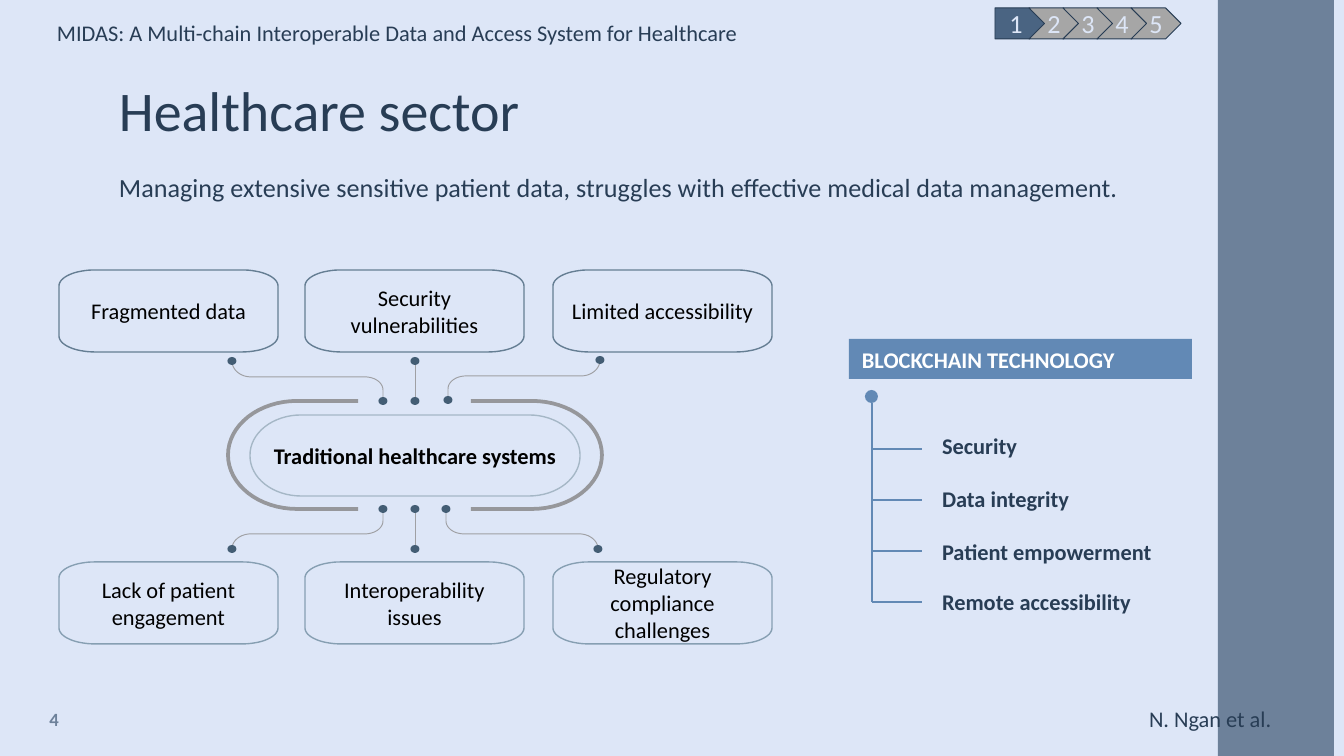
import math
import pptx
import pptx.util
import pptx.dml.color
import pptx.enum.shapes
import pptx.enum.text
import pptx.oxml.ns
import lxml.etree

EMU_PER_PX = 914400 / 134.4
SHAPES = pptx.enum.shapes.MSO_SHAPE
ALIGN = pptx.enum.text.PP_ALIGN
ANCHOR = pptx.enum.text.MSO_ANCHOR

NAVY = "283D55"
PALE = "DDE6F7"
SLATE = "6D819A"
BLUE = "6289B5"
DOT = "435D74"
LINK = "9FA0A4"
BRACKET = "96979B"


def px(value):
    return pptx.util.Emu(round(value * EMU_PER_PX))


def color(code):
    return pptx.dml.color.RGBColor.from_string(code)


def arc(start, corner, end, steps=16):
    center = [start[i] + end[i] - corner[i] for i in (0, 1)]
    points = []
    for step in range(steps + 1):
        angle = math.pi / 2 * step / steps
        points.append(tuple(
            center[i] + math.cos(angle) * (start[i] - center[i])
            + math.sin(angle) * (end[i] - center[i]) for i in (0, 1)))
    return points


class SlideBuilder:
    font = "Calibri"

    def __init__(self, slide):
        self.slide = slide
        self.shapes = slide.shapes

    def background(self, code):
        self.slide.background.fill.solid()
        self.slide.background.fill.fore_color.rgb = color(code)

    def paint(self, shape, fill=None, line=None, weight=0.75):
        shape.shadow.inherit = False
        if fill:
            shape.fill.solid()
            shape.fill.fore_color.rgb = color(fill)
        else:
            shape.fill.background()
        if line:
            shape.line.color.rgb = color(line)
            shape.line.width = pptx.util.Pt(weight)
        else:
            shape.line.fill.background()

    def label(self, shape, text, size, code, bold=False, align=ALIGN.LEFT,
              anchor=ANCHOR.TOP, margins=(13, 7)):
        frame = shape.text_frame
        frame.word_wrap = True
        frame.vertical_anchor = anchor
        frame.margin_left = frame.margin_right = px(margins[0])
        frame.margin_top = frame.margin_bottom = px(margins[1])
        frame.text = text
        para = frame.paragraphs[0]
        para.alignment = align
        font = para.runs[0].font
        font.name = self.font
        font.size = pptx.util.Pt(size)
        font.bold = bold
        font.color.rgb = color(code)

    def text(self, left, top, width, height, text, size=12, code=NAVY, **style):
        box = self.shapes.add_textbox(px(left), px(top), px(width), px(height))
        self.label(box, text, size, code, **style)

    def shape(self, kind, left, top, width, height, fill, line=None, weight=0.5):
        shape = self.shapes.add_shape(kind, px(left), px(top), px(width), px(height))
        self.paint(shape, fill, line, weight)
        return shape

    def outline(self, points, line, weight=0.75, close=False):
        corners = [(px(x), px(y)) for x, y in points]
        builder = self.shapes.build_freeform(*corners[0])
        builder.add_line_segments(corners[1:], close=close)
        shape = builder.convert_to_shape()
        self.paint(shape, None, line, weight)
        return shape

    def pill(self, left, top, width, height, radius, line, text,
             bold=False, margins=(13, 13)):
        right, bottom = left + width, top + height
        across, down = radius
        points = [
            *arc((left, top + down), (left, top), (left + across, top)),
            *arc((right - across, top), (right, top), (right, top + down)),
            *arc((right, bottom - down), (right, bottom), (right - across, bottom)),
            *arc((left + across, bottom), (left, bottom), (left, bottom - down)),
        ]
        shape = self.outline(points, line, close=True)
        self.label(shape, text, 12, "000000", bold=bold, align=ALIGN.CENTER,
                   anchor=ANCHOR.MIDDLE, margins=margins)

    def bracket(self, inner, bend, outer, top, bottom):
        middle = (top + bottom) / 2
        self.outline([
            (inner, top),
            *arc((bend, top), (outer, top), (outer, middle)),
            *arc((outer, middle), (outer, bottom), (bend, bottom)),
            (inner, bottom),
        ], BRACKET, 2)

    def line(self, start, end, code, weight):
        connector = self.shapes.add_connector(
            pptx.enum.shapes.MSO_CONNECTOR.STRAIGHT, *map(px, start + end))
        connector.line.color.rgb = color(code)
        connector.line.width = pptx.util.Pt(weight)
        properties = connector._element.spPr
        lxml.etree.SubElement(properties, pptx.oxml.ns.qn("a:effectLst"))

    def link(self, outer, inner, bend_y):
        if outer[0] == inner[0]:
            self.line(outer, inner, LINK, 0.5)
        else:
            side = 1 if inner[0] > outer[0] else -1
            down = 1 if inner[1] > outer[1] else -1
            self.outline([
                *arc(outer, (outer[0], bend_y), (outer[0] + 19 * side, bend_y)),
                *arc((inner[0] - 18 * side, bend_y), (inner[0], bend_y),
                     (inner[0], bend_y + 13 * down)),
                inner,
            ], LINK, 0.5)
        for x, y in (outer, inner):
            self.shape(SHAPES.OVAL, x - 4.5, y - 4, 9, 8, DOT)


def main():
    deck = pptx.Presentation()
    deck.slide_width, deck.slide_height = px(1344), px(756)
    page = SlideBuilder(deck.slides.add_slide(deck.slide_layouts[6]))
    page.background(PALE)

    page.shape(SHAPES.RECTANGLE, 1218, 0, 116, 756, SLATE)
    page.text(44, 12, 919, 40,
              "MIDAS: A Multi-chain Interoperable Data and Access System for Healthcare")
    page.text(1136, 698, 199, 40, "N. Ngan et al.")
    page.text(106, 63, 1133, 85, "Healthcare sector", 30, margins=(13, 13))
    page.text(106, 164, 1052, 77,
              "Managing extensive sensitive patient data, struggles with "
              "effective medical data management.", 14)

    page.pill(250, 415, 330, 81, (51, 40), "A5B7C6",
              "Traditional healthcare systems", bold=True)
    page.bracket(471, 532, 602, 401, 509)
    page.bracket(358, 297, 228, 401, 509)

    links = [
        ((232, 361), (383, 401), 377),
        ((415, 361), (415, 401), 377),
        ((600, 360), (448, 400), 376),
        ((232, 549), (383, 509), 534),
        ((415, 549), (415, 509), 534),
        ((598, 549), (446, 509), 534),
    ]
    for outer, inner, bend_y in links:
        page.link(outer, inner, bend_y)

    problem_rows = [
        (270, "657E93", ["Fragmented data", "Security vulnerabilities",
                         "Limited accessibility"]),
        (562, "869FB2", ["Lack of patient engagement", "Interoperability issues",
                         "Regulatory compliance challenges"]),
    ]
    for top, line, problems in problem_rows:
        for left, problem in zip((59, 305, 553), problems):
            margins = (0, 13) if problem == "Limited accessibility" else (13, 13)
            page.pill(left, top, 219, 82, (36, 16), line, problem, margins=margins)

    page.text(23, 699, 62, 40, "4", 10, SLATE, bold=True,
              align=ALIGN.CENTER, anchor=ANCHOR.MIDDLE)

    for index in range(5):
        kind, fill = (SHAPES.CHEVRON, "A6A6A6") if index else (SHAPES.PENTAGON, "4A6482")
        step = page.shape(kind, 995 + 34 * index, 8, 50, 31, fill, NAVY)
        page.label(step, str(index + 1), 14, PALE, align=ALIGN.CENTER,
                   anchor=ANCHOR.MIDDLE, margins=(0, 0))

    page.line((872, 403), (872, 602), BLUE, 1.5)
    page.shape(SHAPES.OVAL, 865, 390, 13, 13, BLUE)
    header = page.shape(SHAPES.RECTANGLE, 849, 339, 343, 40, BLUE)
    page.label(header, "BLOCKCHAIN TECHNOLOGY", 12, "FFFFFF", bold=True)
    benefits = [("Security", 425), ("Data integrity", 478),
                ("Patient empowerment", 531), ("Remote accessibility", 581)]
    for index, (benefit, top) in enumerate(benefits):
        branch_y = 449 + 51 * index
        page.line((872, branch_y), (922, branch_y), BLUE, 1.5)
        page.text(929, top, 281, 40, benefit, bold=True)

    deck.save("out.pptx")


if __name__ == "__main__":
    main()
